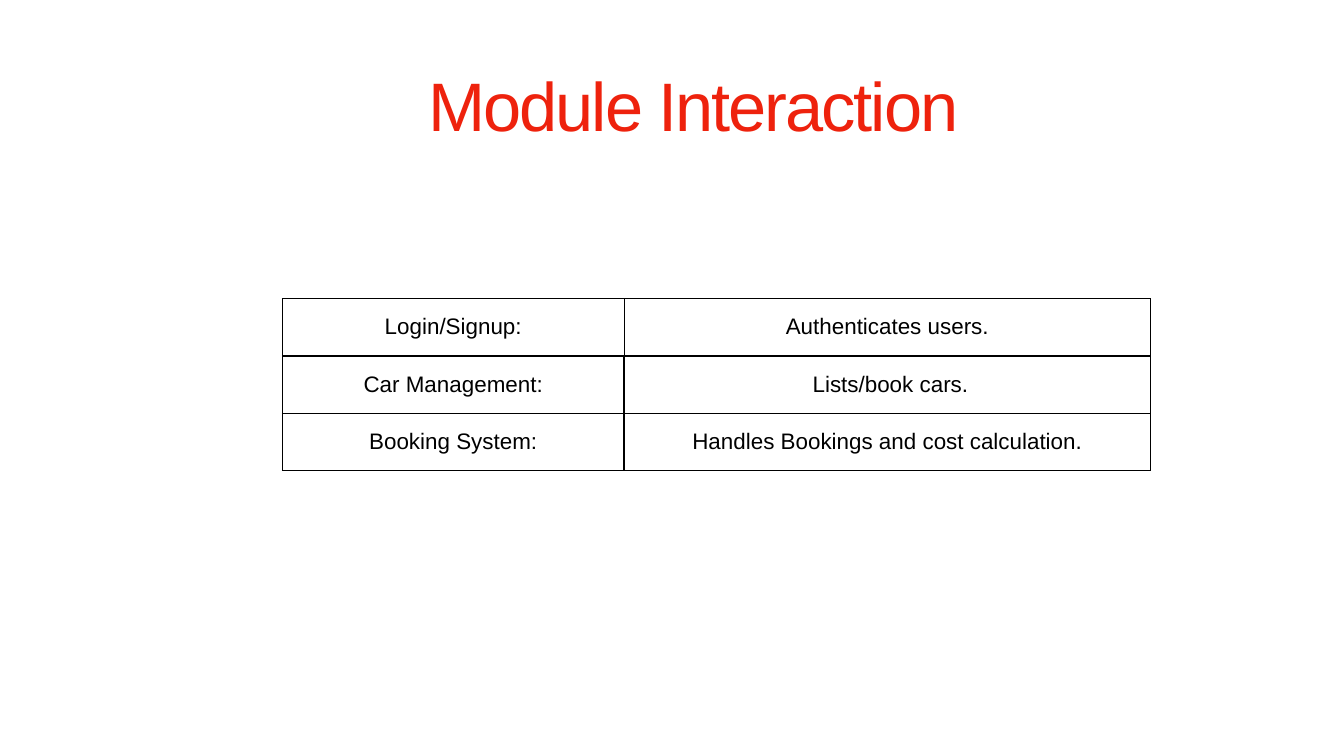
from lxml import etree
from pptx import Presentation
from pptx import util as u
from pptx.dml import color
from pptx.enum import text
from pptx.oxml import ns

PX = 9144  # EMU per px, 100 px to the inch
FONT = "Arial"
INSET = 6
MODULES = [
    ("Login/Signup:", "Authenticates users."),
    ("Car Management:", " Lists/book cars."),
    ("Booking System:", "Handles Bookings and cost calculation."),
]


def px(length):
    return u.Emu(length * PX)


def rgb(hex_code):
    return color.RGBColor.from_string(hex_code)


def apply(target, values):
    for name, value in values.items():
        setattr(target, name, value)


def margins():
    return {f"margin_{side}": px(INSET) for side in ("left", "top", "right", "bottom")}


def write(para, words, size, **para_format):
    apply(para, {"alignment": text.PP_ALIGN.CENTER, **para_format})
    span = para.add_run()
    span.text = words
    apply(span.font, {"name": FONT, "size": u.Pt(size)})
    return span


def set_border(cell, side, points):
    props = cell._tc.get_or_add_tcPr()
    line = etree.SubElement(props, ns.qn(f"a:ln{side}"), w=str(u.Pt(points)))
    fill = etree.SubElement(line, ns.qn("a:solidFill"))
    etree.SubElement(fill, ns.qn("a:srgbClr"), val="000000")


def add_title(page, left, top, width, height):
    box = page.shapes.add_textbox(*map(px, (left, top, width, height)))
    frame = box.text_frame
    apply(frame, {"word_wrap": True, "vertical_anchor": text.MSO_ANCHOR.BOTTOM,
                  **margins()})
    span = write(frame.paragraphs[0], "Module Interaction", 98, line_spacing=0.8)
    # Red to plum gradient and tight letter spacing
    fill = span.font.fill
    fill.gradient()
    fill.gradient_angle = 360 - 66
    for stop, hex_code in zip(fill.gradient_stops, ("EE220D", "650E47")):
        stop.color.rgb = rgb(hex_code)
    span.font._element.set("spc", "-290")


def add_module_table(page, left, top, columns, row_height):
    size = (sum(columns), row_height * len(MODULES))
    frame = page.shapes.add_table(len(MODULES), len(columns),
                                  *map(px, (left, top, *size)))
    table = frame.table
    apply(table, {"first_row": False, "horz_banding": False})
    for column, width in zip(table.columns, columns):
        column.width = px(width)
    for r, words in enumerate(MODULES):
        table.rows[r].height = px(row_height)
        for c, entry in enumerate(words):
            cell = table.cell(r, c)
            apply(cell, {"vertical_anchor": text.MSO_ANCHOR.MIDDLE, **margins()})
            # Heavier line below the first row and beside the lower names
            heavy = "B" if r == 0 else "R" if c == 0 else ""
            for side in "LRTB":
                set_border(cell, side, 3 if side == heavy else 1)
            cell.fill.background()
            span = write(cell.text_frame.paragraphs[0], entry, 32,
                         space_before=u.Pt(24))
            span.font.color.rgb = rgb("000000")


def main():
    deck = Presentation()
    apply(deck, {"slide_width": px(2667), "slide_height": px(1500)})
    page = deck.slides.add_slide(deck.slide_layouts[6])
    add_title(page, 626, 100, 1500, 193)
    add_module_table(page, 560, 592, (679, 1044), 114)
    deck.save("out.pptx")


if __name__ == "__main__":
    main()
